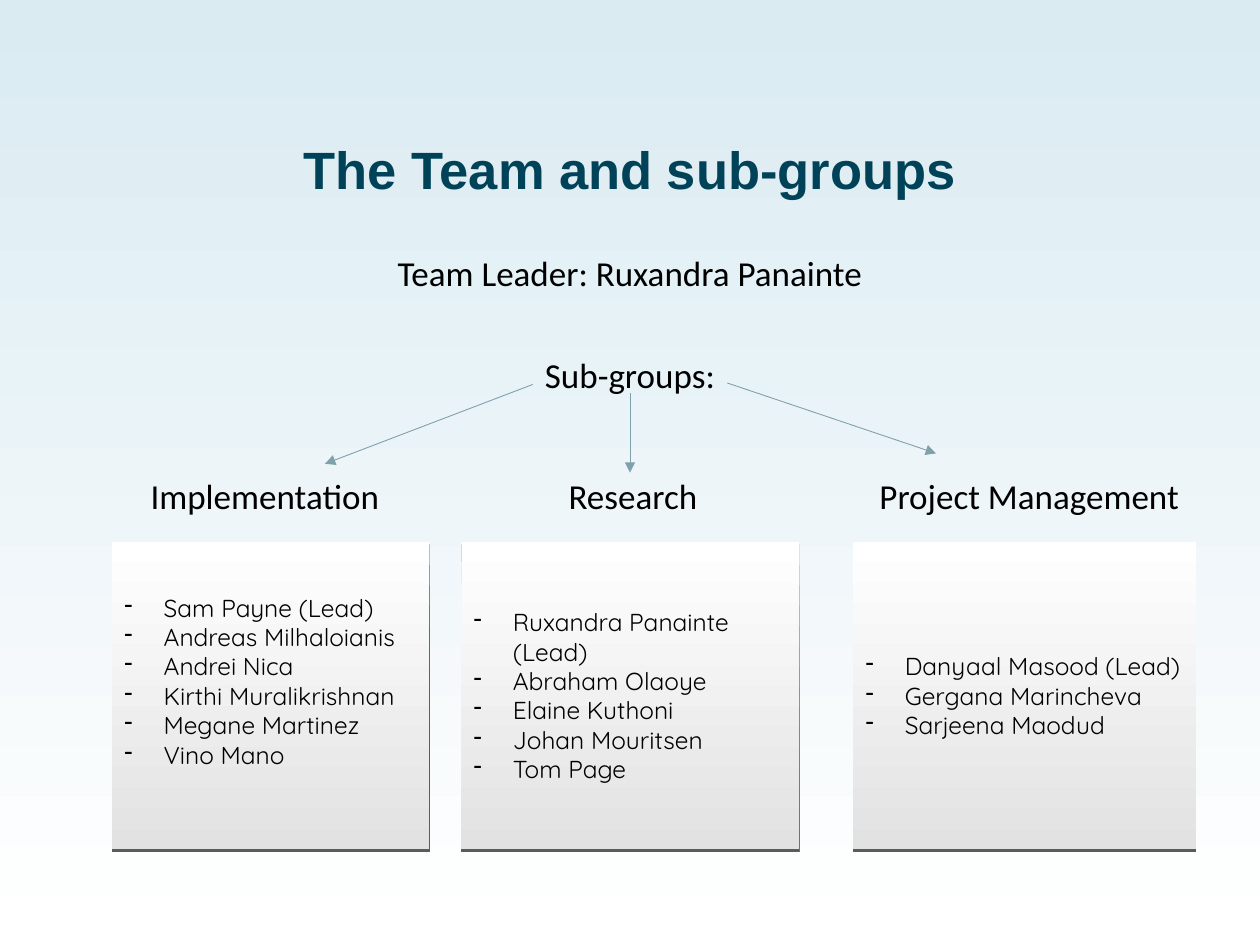
"""Build the slide that presents the team leader and the three sub-groups."""

from dataclasses import dataclass

from lxml.etree import SubElement
from pptx import Presentation
from pptx.dml.color import RGBColor
from pptx.enum.shapes import MSO_CONNECTOR, MSO_SHAPE
from pptx.enum.text import MSO_ANCHOR, PP_ALIGN
from pptx.oxml.ns import qn
from pptx.util import Cm, Pt


@dataclass(frozen=True)
class Theme:
    title_color: str = "004359"
    text_color: str = "000000"
    arrow_color: str = "7FA1AC"
    background: tuple = ("DAEBF2", "FFFFFF")
    card: tuple = ("FFFFFF", "E2E2E2")
    title_font: str = "Arial"
    body_font: str = "Calibri"
    member_font: str = "Quicksand"
    title_size: int = 30
    body_size: int = 20
    member_size: int = 14


theme = Theme()


def fill_down(fill, colors):
    fill.gradient()
    fill.gradient_angle = 270
    for stop, position, color in zip(fill.gradient_stops, (0, 1), colors):
        stop.position = position
        stop.color.rgb = RGBColor.from_string(color)


def add_line_of_text(text, center, top, width, font, size, color, bold=False):
    box = s.shapes.add_textbox(Cm(center - width / 2), Cm(top), Cm(width), Cm(1.2))
    tf = box.text_frame
    tf.word_wrap = True
    tf.margin_left = tf.margin_right = tf.margin_top = tf.margin_bottom = 0
    tf.text = text
    p = tf.paragraphs[0]
    p.alignment = PP_ALIGN.CENTER
    r = p.runs[0]
    r.font.name, r.font.size, r.font.bold = font, Pt(size), bold
    r.font.color.rgb = RGBColor.from_string(color)


prs = Presentation()
prs.slide_width, prs.slide_height = Cm(25.4), Cm(19.05)
s = prs.slides.add_slide(prs.slide_layouts[6])
fill_down(s.background.fill, theme.background)

add_line_of_text("The Team and sub-groups", 12.7, 2.77, 23.57,
                 theme.title_font, theme.title_size, theme.title_color, bold=True)

body_lines = [
    ("Team Leader: Ruxandra Panainte", 12.7, 5.07, 23.57),
    ("Sub-groups:", 12.7, 7.13, 3.8),
    ("Implementation", 5.34, 9.57, 7),
    ("Research", 12.76, 9.57, 7),
    ("Project Management", 20.75, 9.57, 7),
]
for line in body_lines:
    add_line_of_text(*line, theme.body_font, theme.body_size, theme.text_color)

arrows = [
    (12.7, 7.92, 12.7, 9.53),
    (10.74, 7.75, 6.55, 9.35),
    (14.66, 7.72, 18.87, 9.14),
]
for ends in arrows:
    arrow = s.shapes.add_connector(MSO_CONNECTOR.STRAIGHT, *map(Cm, ends))
    arrow.line.color.rgb = RGBColor.from_string(theme.arrow_color)
    arrow.line.width = Pt(0.5)
    spPr = arrow.element.spPr
    SubElement(spPr.find(qn("a:ln")), qn("a:tailEnd"), type="triangle")
    SubElement(spPr, qn("a:effectLst"))

groups = [
    (2.26, 6.4, 0.72, ["Sam Payne (Lead)", "Andreas Milhaloianis", "Andrei Nica",
                       "Kirthi Muralikrishnan", "Megane Martinez", "Vino Mano"]),
    (9.3, 6.81, 0.13, ["Ruxandra Panainte (Lead)", "Abraham Olaoye", "Elaine Kuthoni",
                       "Johan Mouritsen", "Tom Page"]),
    (17.2, 6.91, 0.13, ["Danyaal Masood (Lead)", "Gergana Marincheva",
                        "Sarjeena Maodud"]),
]
for left, width, bottom_margin, members in groups:
    card = s.shapes.add_shape(MSO_SHAPE.RECTANGLE, Cm(left), Cm(10.92), Cm(width), Cm(6.2))
    fill_down(card.fill, theme.card)
    card.line.fill.background()
    card.shadow.inherit = False
    shadow = SubElement(card.element.spPr.find(qn("a:effectLst")), qn("a:outerShdw"),
                        blurRad="0", dist=str(Pt(1.5)), dir="5400000", rotWithShape="0")
    shade = SubElement(shadow, qn("a:srgbClr"), val=theme.text_color)
    SubElement(shade, qn("a:alpha"), val="63000")

    tf = card.text_frame
    tf.word_wrap = True
    tf.vertical_anchor = MSO_ANCHOR.MIDDLE
    tf.margin_left = tf.margin_right = Cm(0.25)
    tf.margin_top, tf.margin_bottom = Cm(0.13), Cm(bottom_margin)
    tf.text = "\n".join(members)
    for p in tf.paragraphs:
        p.alignment = PP_ALIGN.LEFT
        pPr = p._p.get_or_add_pPr()
        pPr.set("marL", str(Cm(0.79)))
        pPr.set("indent", str(-Cm(0.79)))
        bullet_color = SubElement(pPr, qn("a:buClr"))
        SubElement(bullet_color, qn("a:srgbClr"), val=theme.text_color)
        SubElement(pPr, qn("a:buChar"), char="-")
        r = p.runs[0]
        r.font.name, r.font.size = theme.member_font, Pt(theme.member_size)
        r.font.color.rgb = RGBColor.from_string(theme.text_color)

prs.save("out.pptx")
